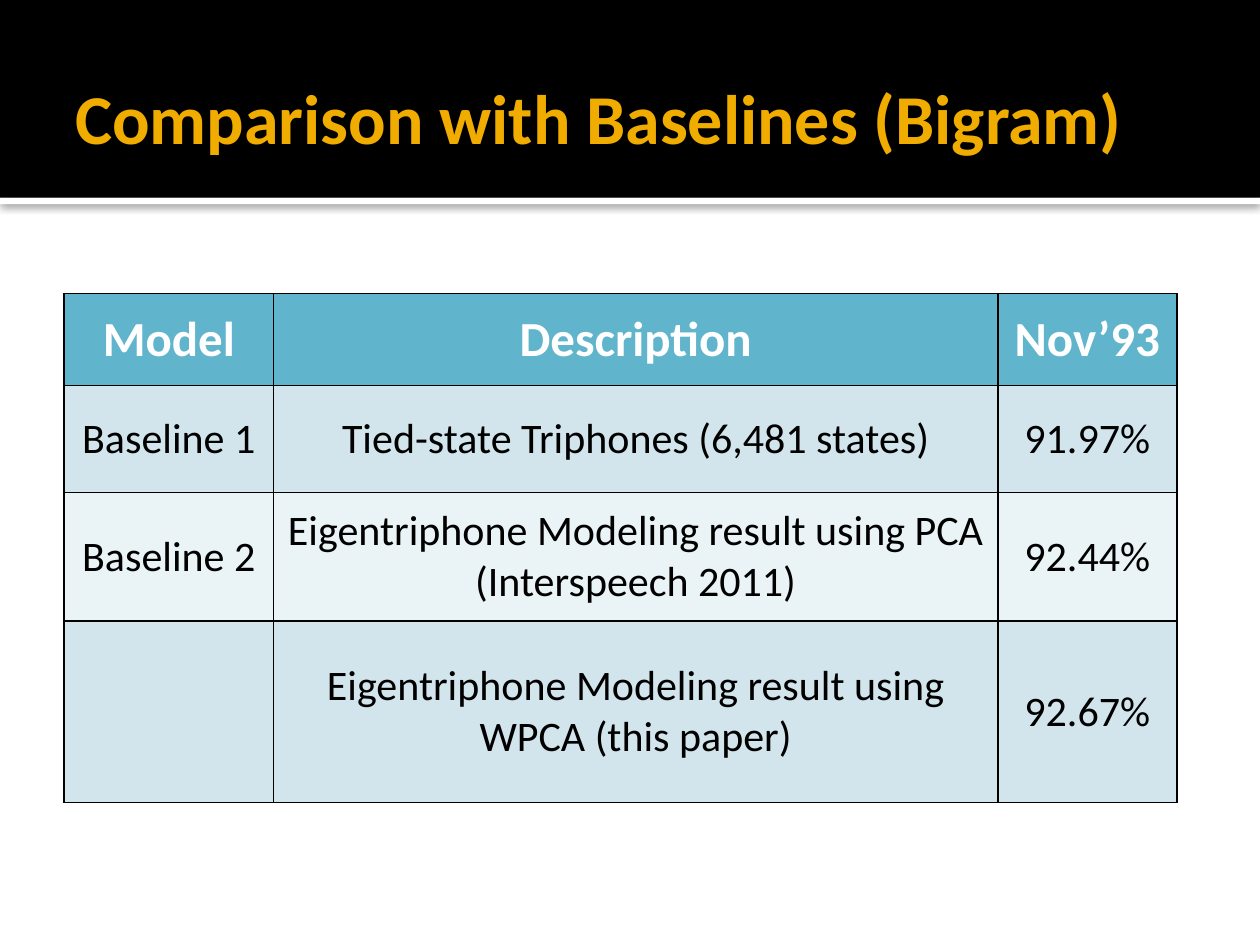
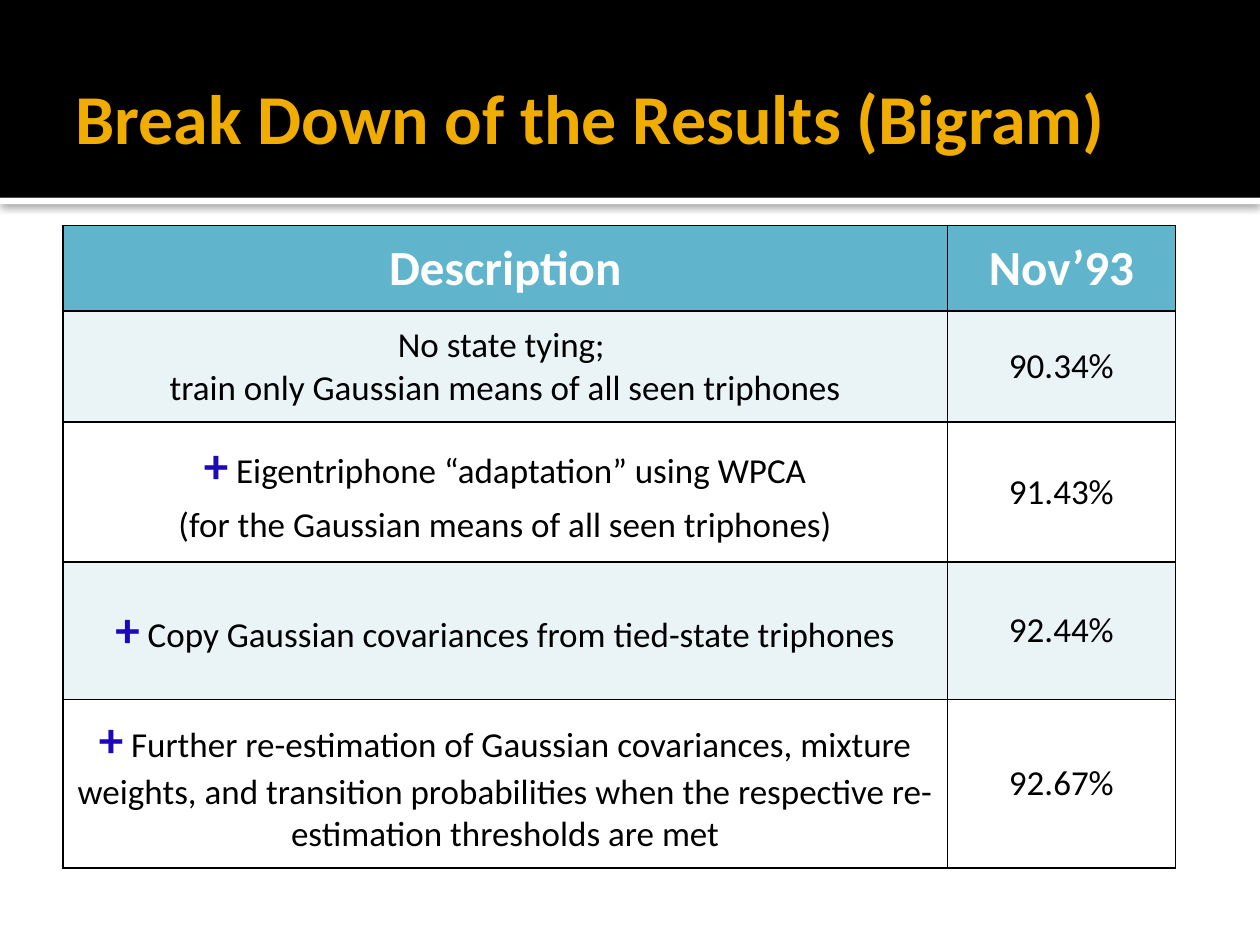
from lxml.etree import SubElement
from pptx import Presentation
from pptx.dml.color import RGBColor
from pptx.enum.shapes import MSO_SHAPE
from pptx.enum.text import MSO_ANCHOR, PP_ALIGN
from pptx.oxml import parse_xml
from pptx.oxml.ns import nsdecls, qn
from pptx.util import Inches, Pt

BLACK = RGBColor(0x00, 0x00, 0x00)
WHITE = RGBColor(0xFF, 0xFF, 0xFF)
GOLD = RGBColor(0xF0, 0xAD, 0x00)
TEAL = RGBColor(0x60, 0xB5, 0xCC)
LIGHT_TEAL = RGBColor(0xD2, 0xE5, 0xEC)
PALE_TEAL = RGBColor(0xEA, 0xF3, 0xF6)
PLUS_BLUE = RGBColor(0x1E, 0x09, 0xB7)

FONT = "Calibri"
TITLE_SIZE, HEADER_SIZE = 40, 28
BAND_HEIGHT, STRIP_HEIGHT = 1.57, 0.05
PLAIN_TABLE_STYLE = "{2D5ABB26-0587-4C30-8999-92F81FD0307C}"


class SlideBuilder:
    """Holds the shared style and the slide being built."""

    def __init__(self):
        self.deck = Presentation()
        self.deck.slide_width = Inches(10)
        self.deck.slide_height = Inches(7.5)
        self.page = None

    def start_page(self, title):
        self.page = self.deck.slides.add_slide(self.deck.slide_layouts[6])
        # White strip with a soft shadow, below the black title band
        strip = self.band(BAND_HEIGHT, STRIP_HEIGHT, WHITE)
        self.drop_shadow(strip)
        self.band(0, BAND_HEIGHT, BLACK)
        self.title(title)

    def band(self, top, height, color):
        shape = self.page.shapes.add_shape(
            MSO_SHAPE.RECTANGLE, 0, Inches(top), self.deck.slide_width, Inches(height))
        shape.shadow.inherit = False
        shape.fill.solid()
        shape.fill.fore_color.rgb = color
        shape.line.fill.background()
        return shape

    def drop_shadow(self, shape):
        effects = shape._element.spPr.find(qn("a:effectLst"))
        shadow = SubElement(effects, qn("a:outerShdw"), blurRad=str(Pt(5)),
                            dist=str(Pt(0.8)), dir="5400000", algn="tl", rotWithShape="0")
        color = SubElement(shadow, qn("a:srgbClr"), val=str(BLACK))
        SubElement(color, qn("a:alpha"), val="60000")

    def style_font(self, font, size, color, bold):
        font.name = FONT
        font.size = Pt(size)
        font.color.rgb = color
        font.bold = bold

    def title(self, text):
        box = self.page.shapes.add_textbox(Inches(0.5), Inches(0.3), Inches(9), Inches(1.25))
        frame = box.text_frame
        frame.word_wrap = True
        frame.vertical_anchor = MSO_ANCHOR.MIDDLE
        frame.margin_right = Inches(0.05)
        paragraph = frame.paragraphs[0]
        paragraph.text = text
        self.style_font(paragraph.font, TITLE_SIZE, GOLD, True)

    def table(self, left, top, widths, heights, rows, body_size, stripes):
        """The first row is the header; stripes are the alternating body fills."""
        frame = self.page.shapes.add_table(
            len(rows), len(widths), Inches(left), Inches(top),
            Inches(sum(widths)), Inches(sum(heights)))
        table = frame.table
        table.first_row = table.horz_banding = False
        table._tbl.tblPr.find(qn("a:tableStyleId")).text = PLAIN_TABLE_STYLE
        for column, width in zip(table.columns, widths):
            column.width = Inches(width)
        for row, height in zip(table.rows, heights):
            row.height = Inches(height)
        for i, texts in enumerate(rows):
            header = i == 0
            fill = TEAL if header else stripes[(i - 1) % 2]
            style = (HEADER_SIZE, WHITE, True) if header else (body_size, BLACK, False)
            for j, text in enumerate(texts):
                self.cell(table.cell(i, j), text, fill, style)

    def cell(self, cell, text, fill, style):
        self.borders(cell)
        cell.fill.solid()
        cell.fill.fore_color.rgb = fill
        cell.vertical_anchor = MSO_ANCHOR.MIDDLE
        # A newline starts a paragraph, \v breaks the line within one
        cell.text_frame.text = text
        for paragraph in cell.text_frame.paragraphs:
            paragraph.alignment = PP_ALIGN.CENTER
            paragraph.space_before = Pt(style[0] * 0.2)
            self.style_font(paragraph.font, *style)
            if paragraph.text.startswith("+"):
                self.highlight_plus(paragraph)

    def highlight_plus(self, paragraph):
        plus = paragraph.runs[0]
        rest = paragraph.add_run()
        rest.text = plus.text[1:]
        plus.text = "+"
        self.style_font(plus.font, HEADER_SIZE, PLUS_BLUE, True)

    def borders(self, cell):
        properties = cell._tc.get_or_add_tcPr()
        for side in ("lnL", "lnR", "lnT", "lnB"):
            properties.append(parse_xml(
                f'<a:{side} {nsdecls("a")} w="{Pt(1)}"><a:solidFill>'
                f'<a:srgbClr val="{BLACK}"/></a:solidFill></a:{side}>'))


def main():
    builder = SlideBuilder()

    # Baseline comparison
    builder.start_page("Comparison with Baselines (Bigram)")
    builder.table(
        0.51, 2.33, [1.66, 5.75, 1.42], [0.73, 0.85, 1.02, 1.44],
        [("Model", "Description", "Nov’93"),
         ("Baseline 1", "Tied-state Triphones (6,481 states)", "91.97%"),
         ("Baseline 2", "Eigentriphone Modeling result using PCA (Interspeech 2011)", "92.44%"),
         ("", "Eigentriphone Modeling result using WPCA (this paper)", "92.67%")],
        24, (LIGHT_TEAL, PALE_TEAL))

    # Gains step by step
    builder.start_page("Break Down of the Results (Bigram)")
    builder.table(
        0.5, 1.79, [7.02, 1.81], [0.68, 0.88, 1.11, 1.09, 1.34],
        [("Description", "Nov’93"),
         ("No state tying; \vtrain only Gaussian means of all seen triphones", "90.34%"),
         ("+ Eigentriphone “adaptation” using WPCA\n"
          "(for the Gaussian means of all seen triphones)", "91.43%"),
         ("+ Copy Gaussian covariances from tied-state triphones", "92.44%"),
         ("+ Further re-estimation of Gaussian covariances, mixture weights, and transition "
          "probabilities when the respective re-estimation thresholds are met", "92.67%")],
        20, (PALE_TEAL, WHITE))

    builder.deck.save("out.pptx")


if __name__ == "__main__":
    main()
